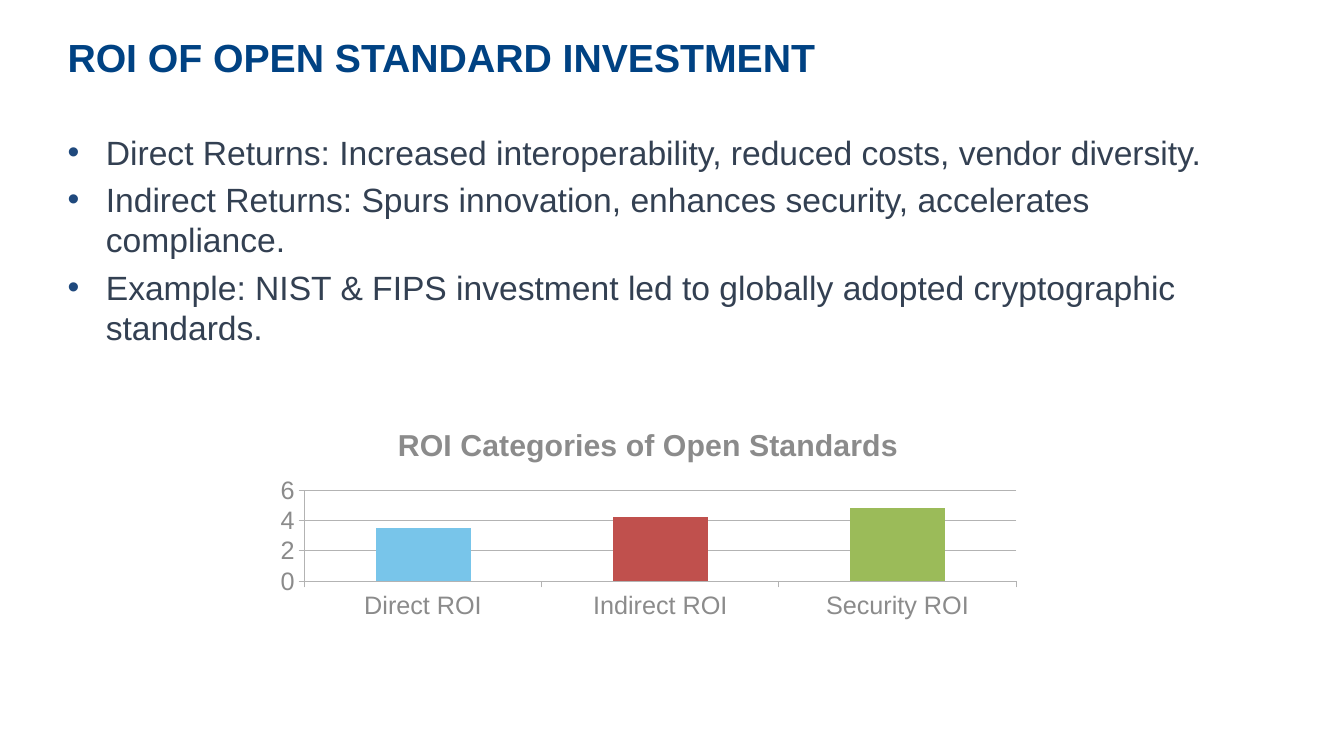
from lxml.etree import SubElement
from pptx import Presentation
from pptx.chart.data import CategoryChartData
from pptx.dml.color import RGBColor
from pptx.enum.chart import XL_CHART_TYPE, XL_TICK_MARK
from pptx.oxml.ns import qn
from pptx.util import Inches, Pt

NAVY = RGBColor(0x00, 0x42, 0x83)
SLATE = RGBColor(0x33, 0x40, 0x52)
BLUE = RGBColor(0x1F, 0x49, 0x7D)
GRAY = RGBColor(0x8B, 0x8B, 0x8B)
RULE = RGBColor(0xB3, 0xB3, 0xB3)
BARS = [
    ("Direct ROI", 3.5, RGBColor(0x78, 0xC5, 0xEA)),
    ("Indirect ROI", 4.2, RGBColor(0xC0, 0x50, 0x4D)),
    ("Security ROI", 4.8, RGBColor(0x9B, 0xBB, 0x59)),
]
POINTS = [
    "Direct Returns: Increased interoperability, reduced costs, vendor diversity.",
    "Indirect Returns: Spurs innovation, enhances security, accelerates compliance.",
    "Example: NIST & FIPS investment led to globally adopted cryptographic standards.",
]


def style(font, size, color, bold=False):
    """Set the face, size, colour and weight of a font."""
    font.name, font.size, font.bold = "Arial", Pt(size), bold
    font.color.rgb = color


def add_frame(slide, box):
    """Add a wrapping text box without margins and return its frame."""
    frame = slide.shapes.add_textbox(*map(Inches, box)).text_frame
    frame.word_wrap = True
    frame.margin_left = frame.margin_right = 0
    frame.margin_top = frame.margin_bottom = 0
    return frame


def add_title(slide, box, text):
    """Write the slide heading."""
    para = add_frame(slide, box).paragraphs[0]
    para.text = text
    para.line_spacing = 0.8
    style(para.font, 28, NAVY, True)


def add_bullets(slide, box, points):
    """Write the bulleted list with hanging indents."""
    frame = add_frame(slide, box)
    for index, text in enumerate(points):
        para = frame.add_paragraph() if index else frame.paragraphs[0]
        para.text = text
        if index:
            para.space_before = Pt(4.8)
        props = para._p.get_or_add_pPr()
        props.set("marL", str(Inches(0.38)))
        props.set("indent", str(Inches(-0.38)))
        color = SubElement(props, qn("a:buClr"))
        SubElement(color, qn("a:srgbClr"), val=str(BLUE))
        SubElement(props, qn("a:buFont"), typeface="Arial")
        SubElement(props, qn("a:buChar"), char="•")
        style(para.font, 24, SLATE)


def add_bars(slide, box, title, bars):
    """Draw the column chart with one colour per category."""
    data = CategoryChartData()
    data.categories = [name for name, _, _ in bars]
    data.add_series("Series 1", [value for _, value, _ in bars])
    chart = slide.shapes.add_chart(
        XL_CHART_TYPE.COLUMN_CLUSTERED, *map(Inches, box), data).chart
    style(chart.font, 18, GRAY)
    chart.has_legend = False
    chart.has_title = True
    head = chart.chart_title.text_frame.paragraphs[0]
    head.text = title
    style(head.font, 21.6, GRAY, True)
    chart.chart_title.include_in_layout = False

    for axis in (chart.category_axis, chart.value_axis):
        axis.major_tick_mark = XL_TICK_MARK.OUTSIDE
        axis.minor_tick_mark = XL_TICK_MARK.NONE
        axis.format.line.color.rgb = RULE
    scale = chart.value_axis
    scale.minimum_scale, scale.maximum_scale, scale.major_unit = 0, 6, 2
    scale.has_major_gridlines = True
    scale.major_gridlines.format.line.color.rgb = RULE

    plot = chart.plots[0]
    plot.gap_width = 150
    plot.vary_by_categories = False
    for index, (_, _, color) in enumerate(bars):
        fill = plot.series[0].points[index].format.fill
        fill.solid()
        fill.fore_color.rgb = color


def main():
    """Build the slide and save it."""
    deck = Presentation()
    deck.slide_width, deck.slide_height = Inches(13.33), Inches(7.5)
    slide = deck.slides.add_slide(deck.slide_layouts[6])
    add_title(slide, (0.67, 0.42, 12, 0.89), "ROI OF OPEN STANDARD INVESTMENT")
    add_bullets(slide, (0.67, 1.31, 11.95, 4.15), POINTS)
    add_bars(slide, (2.63, 4.07, 7.6, 2.12),
             "ROI Categories of Open Standards", BARS)
    deck.save("out.pptx")


if __name__ == "__main__":
    main()
